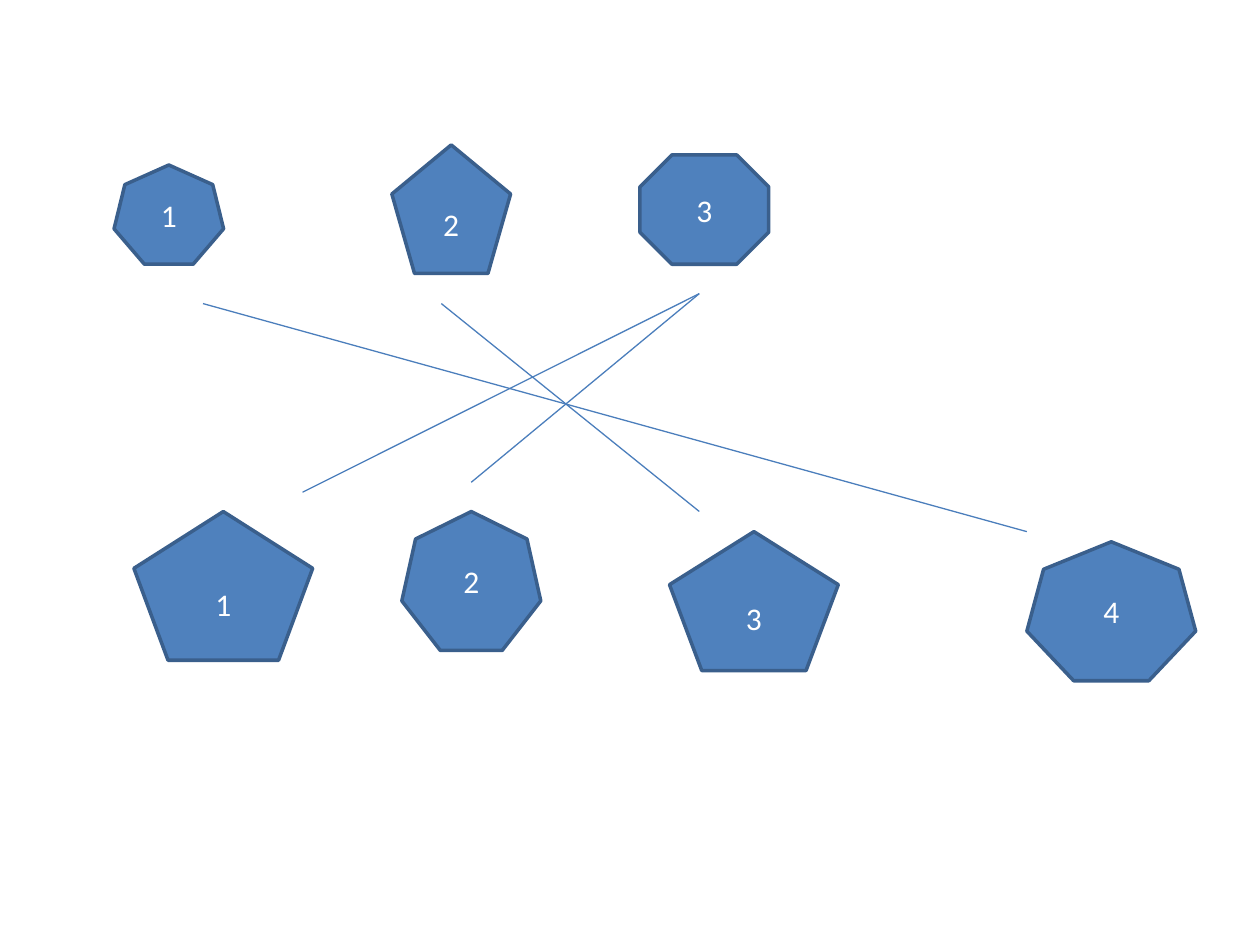
from dataclasses import dataclass

from lxml.etree import SubElement
from pptx import Presentation
from pptx.dml.color import RGBColor
from pptx.enum.shapes import MSO_CONNECTOR, MSO_SHAPE
from pptx.enum.text import MSO_ANCHOR, PP_ALIGN
from pptx.oxml.ns import qn
from pptx.slide import Slide
from pptx.text.text import TextFrame
from pptx.util import Pt


@dataclass(frozen=True)
class Theme:
    fill: RGBColor = RGBColor.from_string("4F81BD")
    outline: RGBColor = RGBColor.from_string("3A5F8C")
    link: RGBColor = RGBColor.from_string("4B7EBC")
    text: RGBColor = RGBColor.from_string("FFFFFF")
    font: str = "Calibri"
    size: float = 18
    outline_width: float = 2
    link_width: float = 0.75


@dataclass(frozen=True)
class Node:
    kind: MSO_SHAPE
    x: float
    y: float
    w: float
    h: float


@dataclass(frozen=True)
class Link:
    x1: float
    y1: float
    x2: float
    y2: float


THEME = Theme()
HEPTAGON = MSO_SHAPE.HEPTAGON
PENTAGON = MSO_SHAPE.REGULAR_PENTAGON
OCTAGON = MSO_SHAPE.OCTAGON

# Each row is numbered from 1, left to right
TOP_ROW = [
    Node(HEPTAGON, 65.2, 94.3, 62.6, 56.7),
    Node(PENTAGON, 223.9, 82.8, 67.9, 73.5),
    Node(OCTAGON, 365.7, 88.5, 73.6, 62.5),
]
BOTTOM_ROW = [
    Node(PENTAGON, 76.5, 292.3, 102.2, 85),
    Node(HEPTAGON, 229.6, 292.3, 79.4, 79.4),
    Node(PENTAGON, 382.6, 303.8, 96.5, 79.4),
    Node(HEPTAGON, 586.8, 309.6, 96.5, 79.4),
]
LINKS = [
    Link(116, 173.5, 586.8, 303.8),
    Link(252.2, 173.5, 399.6, 292.3),
    Link(399.6, 167.8, 269.3, 275.6),
    Link(172.9, 281.3, 399.6, 167.8),
]


def write_text(tf: TextFrame, text: str, *, font: str, size: float, color: RGBColor) -> None:
    tf.word_wrap = True
    tf.vertical_anchor = MSO_ANCHOR.MIDDLE
    p = tf.paragraphs[0]
    p.alignment = PP_ALIGN.CENTER
    r = p.add_run()
    r.text = text
    r.font.name = font
    r.font.size = Pt(size)
    r.font.color.rgb = color


def draw_row(s: Slide, nodes: list[Node]) -> None:
    for number, node in enumerate(nodes, start=1):
        sp = s.shapes.add_shape(node.kind, Pt(node.x), Pt(node.y), Pt(node.w), Pt(node.h))
        sp.shadow.inherit = False
        sp.fill.solid()
        sp.fill.fore_color.rgb = THEME.fill
        sp.line.color.rgb = THEME.outline
        sp.line.width = Pt(THEME.outline_width)
        write_text(sp.text_frame, str(number), font=THEME.font, size=THEME.size, color=THEME.text)


def draw_link(s: Slide, link: Link) -> None:
    cxn = s.shapes.add_connector(
        MSO_CONNECTOR.STRAIGHT, Pt(link.x1), Pt(link.y1), Pt(link.x2), Pt(link.y2)
    )
    cxn.line.color.rgb = THEME.link
    cxn.line.width = Pt(THEME.link_width)
    SubElement(cxn._element.spPr, qn("a:effectLst"))  # no shadow


def main() -> None:
    prs = Presentation()
    prs.slide_width, prs.slide_height = Pt(720), Pt(540)
    s = prs.slides.add_slide(prs.slide_layouts[6])

    # Numbered polygons
    for row in (TOP_ROW, BOTTOM_ROW):
        draw_row(s, row)

    # Crossing lines between the rows
    for link in LINKS:
        draw_link(s, link)

    prs.save("out.pptx")


if __name__ == "__main__":
    main()
